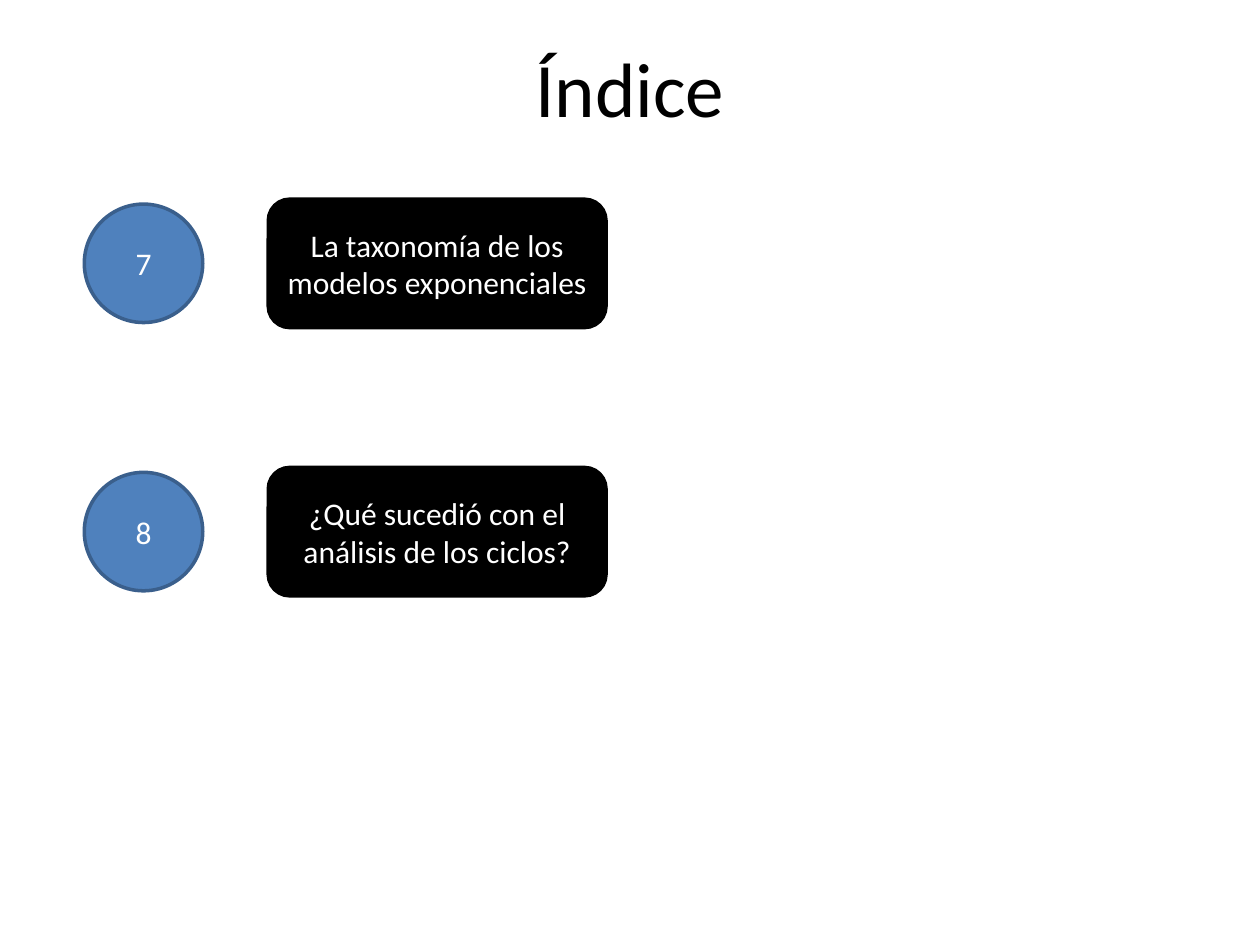
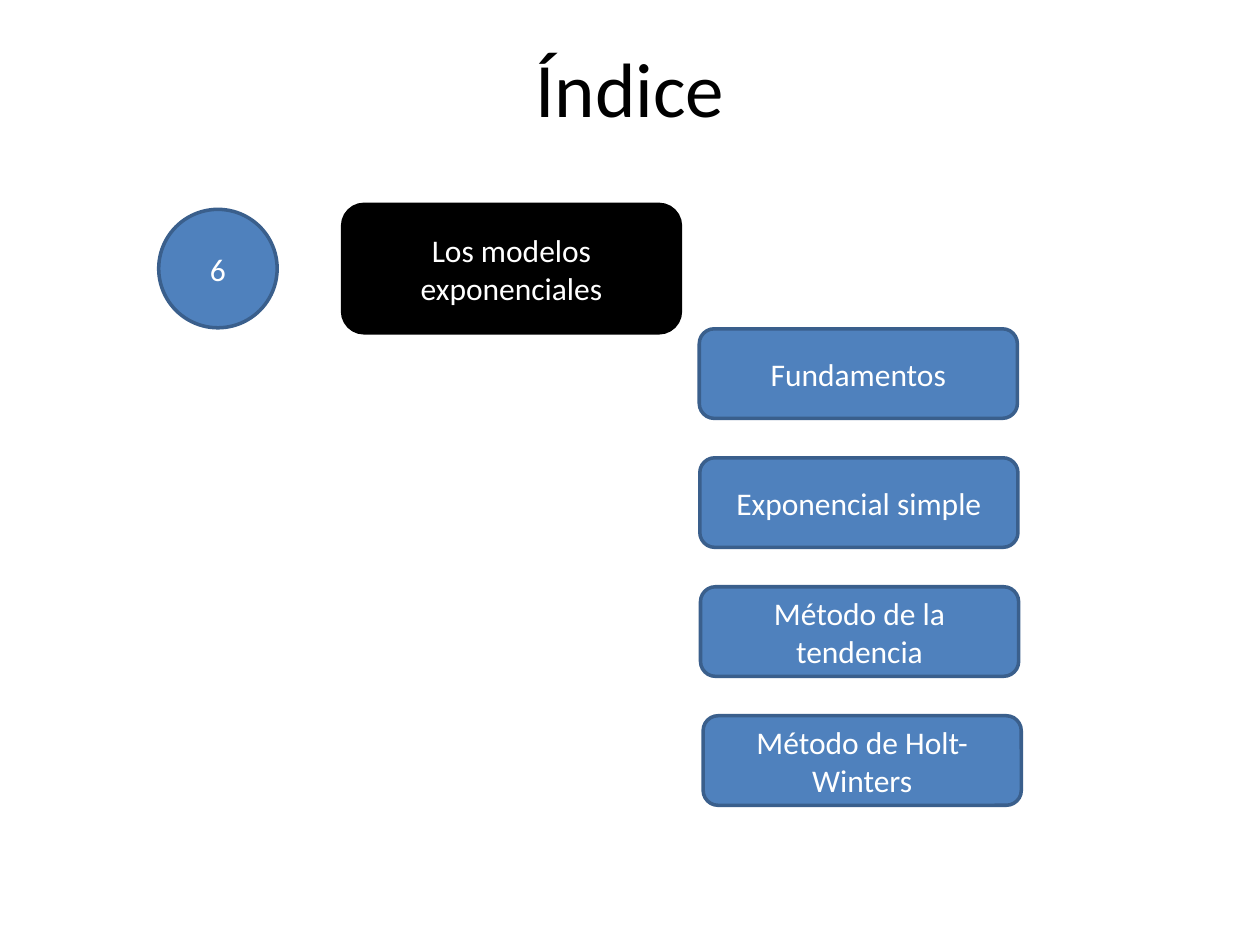
from pptx import Presentation
from pptx.dml.color import RGBColor
from pptx.enum import shapes, text
from pptx.util import Pt

TITLE = "Índice"
# Each slide: left and top of its first topic, topics, subtopics (left, label)
SLIDES = [
    {
        "origin": (48.2, 113.8),
        "topics": [
            ("7", "La taxonomía de los modelos exponenciales"),
            ("8", "¿Qué sucedió con el análisis de los ciclos?"),
        ],
        "subtopics": [],
    },
    {
        "origin": (90.7, 116.8),
        "topics": [("6", "Los modelos exponenciales")],
        "subtopics": [
            (399.6, "Fundamentos"),
            (399.9, "Exponencial simple"),
            (400.3, "Método de la tendencia"),
            (401.8, "Método de Holt-Winters"),
        ],
    },
]

FONT = "Calibri"
BLACK, WHITE, BLUE, DARK_BLUE = "000000", "FFFFFF", "4F81BD", "3A5F8C"
OVAL = shapes.MSO_SHAPE.OVAL
ROUNDED = shapes.MSO_SHAPE.ROUNDED_RECTANGLE

CIRCLE = 67.7
TOPIC_OFFSET, TOPIC_WIDTH, TOPIC_HEIGHT, TOPIC_STEP = 105.1, 193, 73.4, 153.3
SUB_TOP, SUB_WIDTH, SUB_HEIGHT, SUB_STEP = 187.9, 181.8, 51.2, 73.7


def color(value):
    return RGBColor.from_string(value)


def write(box, words, size, ink):
    """Put one centred line of text in the middle of a box."""
    frame = box.text_frame
    frame.text = words
    frame.word_wrap = True
    frame.vertical_anchor = text.MSO_ANCHOR.MIDDLE
    para = frame.paragraphs[0]
    para.alignment = text.PP_ALIGN.CENTER
    font = para.runs[0].font
    font.name, font.size = FONT, Pt(size)
    font.color.rgb = color(ink)


def add_title(page):
    box = page.shapes.add_textbox(Pt(36), Pt(15.8), Pt(648), Pt(67))
    write(box, TITLE, 44, BLACK)


def add_box(page, kind, words, left, top, width, height, fill=BLUE, line=DARK_BLUE):
    box = page.shapes.add_shape(kind, Pt(left), Pt(top), Pt(width), Pt(height))
    box.shadow.inherit = False
    box.fill.solid()
    box.fill.fore_color.rgb = color(fill)
    box.line.color.rgb = color(line)
    box.line.width = Pt(2)
    write(box, words, 18, WHITE)


def add_index(deck, content):
    page = deck.slides.add_slide(deck.slide_layouts[6])
    add_title(page)
    left, first_top = content["origin"]
    for row, (number, topic) in enumerate(content["topics"]):
        top = first_top + row * TOPIC_STEP
        circle_top = top + (TOPIC_HEIGHT - CIRCLE) / 2
        add_box(page, OVAL, number, left, circle_top, CIRCLE, CIRCLE)
        add_box(page, ROUNDED, topic, left + TOPIC_OFFSET, top,
                TOPIC_WIDTH, TOPIC_HEIGHT, BLACK, BLACK)
    for row, (sub_left, subtopic) in enumerate(content["subtopics"]):
        add_box(page, ROUNDED, subtopic, sub_left, SUB_TOP + row * SUB_STEP,
                SUB_WIDTH, SUB_HEIGHT)


def main():
    deck = Presentation()
    deck.slide_width, deck.slide_height = Pt(720), Pt(540)
    for content in SLIDES:
        add_index(deck, content)
    deck.save("out.pptx")


if __name__ == "__main__":
    main()
